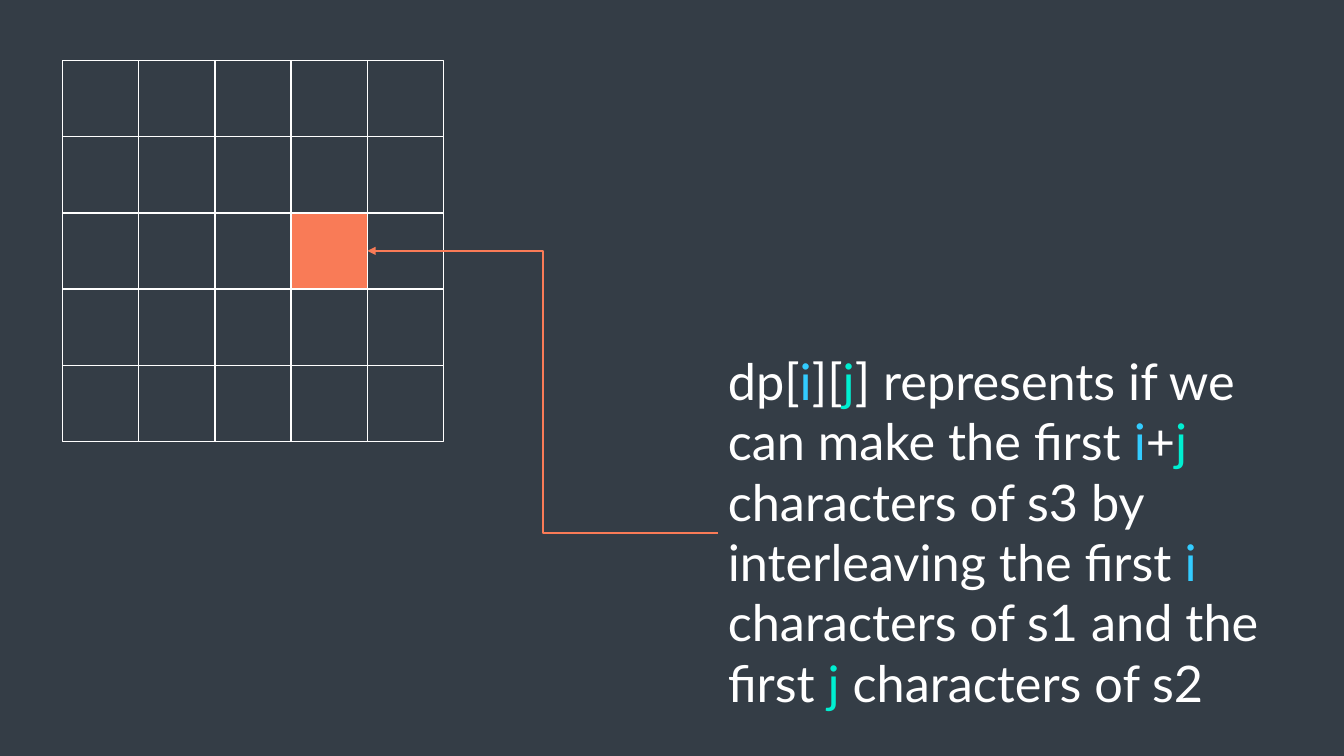
from dataclasses import dataclass
from itertools import product
from typing import NamedTuple

from lxml.etree import SubElement
from pptx import Presentation
from pptx.dml.color import RGBColor
from pptx.enum.shapes import MSO_CONNECTOR as Connector, MSO_SHAPE as Shape
from pptx.enum.text import MSO_AUTO_SIZE as AutoSize
from pptx.oxml.ns import qn
from pptx.shapes.autoshape import Shape as AutoShape
from pptx.slide import Slide
from pptx.text.text import _Paragraph as Paragraph
from pptx.util import Inches, Pt


@dataclass(frozen=True)
class Theme:
    background: RGBColor = RGBColor(0x34, 0x3D, 0x46)
    foreground: RGBColor = RGBColor(0xFF, 0xFF, 0xFF)
    highlight: RGBColor = RGBColor(0xF9, 0x7B, 0x57)
    row_index: RGBColor = RGBColor(0x33, 0xCC, 0xFF)
    column_index: RGBColor = RGBColor(0x00, 0xEF, 0xD1)
    font: str = "Lato"
    body_size: Pt = Pt(36)
    grid_line: Pt = Pt(1)
    arrow_line: Pt = Pt(1.5)


class Cell(NamedTuple):
    row: int
    column: int


class Phrase(NamedTuple):
    text: str
    color: RGBColor


THEME = Theme()
GRID_SIZE = 5
GRID_LEFT, GRID_TOP = Inches(0.62), Inches(0.6)
CELL_SIDE = Inches(3.78) // GRID_SIZE
HIGHLIGHTED = Cell(row=2, column=3)
LEFT_SITE, RIGHT_SITE = 1, 3

I = Phrase("i", THEME.row_index)
J = Phrase("j", THEME.column_index)


def plain(text: str) -> Phrase:
    return Phrase(text, THEME.foreground)


DEFINITION = [
    plain("dp["), I, plain("]["), J,
    plain("] represents if we can make the first "), I, plain("+"), J,
    plain(" characters of s3 by interleaving the first "), I,
    plain(" characters of s1 and the first "), J,
    plain(" characters of s2"),
]


def add_text(paragraph: Paragraph, text: str, *, color: RGBColor,
             size: Pt = THEME.body_size, font: str = THEME.font) -> None:
    run = paragraph.add_run()
    run.text = text
    run.font.name = font
    run.font.size = size
    run.font.color.rgb = color


def add_cell(slide: Slide, cell: Cell) -> AutoShape:
    square = slide.shapes.add_shape(
        Shape.RECTANGLE,
        GRID_LEFT + cell.column * CELL_SIDE, GRID_TOP + cell.row * CELL_SIDE,
        CELL_SIDE, CELL_SIDE)
    square.shadow.inherit = False
    square.fill.solid()
    square.fill.fore_color.rgb = (
        THEME.highlight if cell == HIGHLIGHTED else THEME.background)
    square.line.color.rgb = THEME.foreground
    square.line.width = THEME.grid_line
    return square


def add_definition(slide: Slide) -> AutoShape:
    definition = slide.shapes.add_textbox(
        Inches(7.12), Inches(3.42), Inches(6.08), Inches(3.74))
    frame = definition.text_frame
    frame.word_wrap = True
    frame.auto_size = AutoSize.SHAPE_TO_FIT_TEXT
    for phrase in DEFINITION:
        add_text(frame.paragraphs[0], phrase.text, color=phrase.color)
    return definition


def add_elbow_arrow(slide: Slide, source: AutoShape, target: AutoShape) -> None:
    """Run from the left side of source to the right side of target."""
    arrow = slide.shapes.add_connector(Connector.ELBOW, 0, 0, 0, 0)
    arrow.begin_connect(source, LEFT_SITE)
    arrow.end_connect(target, RIGHT_SITE)
    arrow.line.color.rgb = THEME.highlight
    arrow.line.width = THEME.arrow_line
    SubElement(arrow.line._get_or_add_ln(), qn("a:tailEnd"), type="triangle")
    SubElement(arrow._element.spPr, qn("a:effectLst"))


def main() -> None:
    deck = Presentation()
    deck.slide_width, deck.slide_height = Inches(13.33), Inches(7.5)
    blank_layout = deck.slide_layouts[6]
    slide = deck.slides.add_slide(blank_layout)
    slide.background.fill.solid()
    slide.background.fill.fore_color.rgb = THEME.background

    positions = [Cell(*pair) for pair in product(range(GRID_SIZE), repeat=2)]
    squares = {cell: add_cell(slide, cell) for cell in positions}
    definition = add_definition(slide)
    add_elbow_arrow(slide, definition, squares[HIGHLIGHTED])
    deck.save("out.pptx")


if __name__ == "__main__":
    main()
